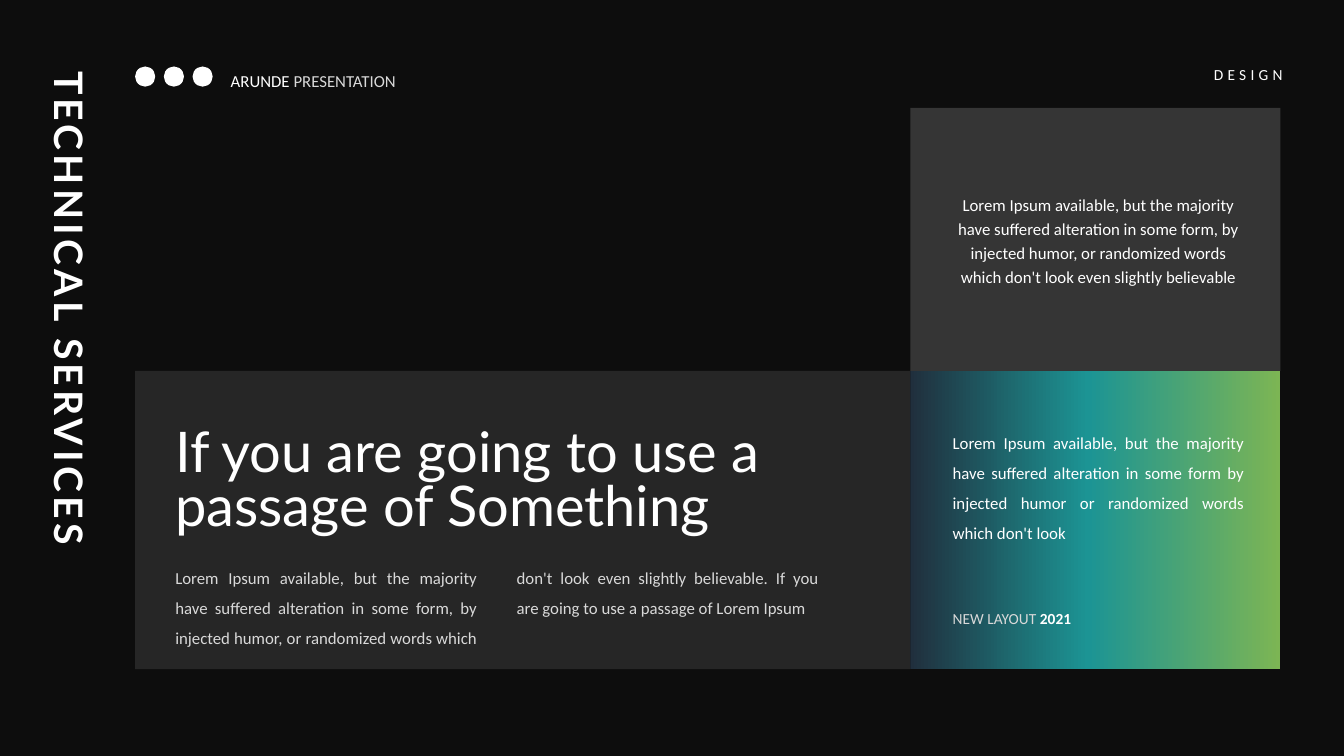
import copy

import pptx
import pptx.dml.color
import pptx.enum.dml
import pptx.enum.shapes
import pptx.enum.text
import pptx.oxml.ns
import pptx.util
from lxml import etree

Inches, Pt = pptx.util.Inches, pptx.util.Pt
RGBColor = pptx.dml.color.RGBColor
Shape = pptx.enum.shapes.MSO_SHAPE
Align = pptx.enum.text.PP_ALIGN

BACKGROUND = RGBColor(0x0D, 0x0D, 0x0D)
PANEL = RGBColor(0x26, 0x26, 0x26)
WHITE = RGBColor(0xFF, 0xFF, 0xFF)
SILVER = RGBColor(0xD9, 0xD9, 0xD9)
NAVY = RGBColor(0x20, 0x2F, 0x3D)
TEAL = RGBColor(0x1C, 0x94, 0x94)
GREEN = RGBColor(0x7C, 0xB5, 0x54)

# Content
TITLE = "TECHNICAL SERVICES"
GRADIENT = [(0, NAVY), (0.48, TEAL), (1, GREEN)]
PLAIN_INSETS = (0.1, 0.05, 0.1, 0.05)
BODY_INSETS = (0.1, 0.05, 0.16, 0.04)
# Each text: place, spans of (text, colour, bold), formatting
TEXTS = [
    ((9.35, 4.14, 3.15, 1.27),
     [("Lorem Ipsum available, but the majority have suffered alteration in some form by "
       "injected humor or randomized words which don't look", WHITE, False)],
     dict(align=Align.JUSTIFY, spacing=1.5)),
    ((1.64, 5.48, 6.64, 1),
     [("Lorem Ipsum available, but the majority have suffered alteration in some form, by "
       "injected humor, or randomized words which don't look even slightly believable. "
       "If you are going to use a passage of Lorem Ipsum", SILVER, False)],
     dict(align=Align.JUSTIFY, spacing=1.5, columns=2)),
    ((1.64, 4.21, 6.64, 1.18),
     [("If you are going to use a passage of Something", WHITE, False)],
     dict(size=40, font="Lato", spacing=0.8, insets=PLAIN_INSETS)),
    ((11.49, 0.6, 1.33, 0.29), [("DESIGN", WHITE, False)],
     dict(size=11, align=Align.RIGHT, tracking=3, insets=PLAIN_INSETS)),
    ((9.35, 5.99, 1.75, 0.28),
     [("NEW LAYOUT ", SILVER, False), ("2021", WHITE, True)], dict(size=11)),
    ((2.19, 0.55, 2.09, 0.39),
     [("ARUNDE", WHITE, False), (" PRESENTATION", SILVER, False)],
     dict(align=Align.JUSTIFY, spacing=1.5)),
    ((9.37, 1.84, 3.11, 1.06),
     [("Lorem Ipsum available, but the majority have suffered alteration in some form, by "
       "injected humor, or randomized words which don't look even slightly believable",
       WHITE, False)],
     dict(align=Align.CENTER, spacing=1.2)),
]

# Panel grid
LEFT, SPLIT, RIGHT = 1.34, 9.03, 12.7
TOP, MIDDLE, BOTTOM = 1.07, 3.68, 6.64
ICON_SIZE, ICON_STEP, ICON_TOP = 0.2, 0.285, 0.66


def add_filled(page, kind, left, top, width, height, color):
    shape = page.shapes.add_shape(kind, *map(Inches, (left, top, width, height)))
    shape.shadow.inherit = False
    shape.line.fill.background()
    shape.fill.solid()
    shape.fill.fore_color.rgb = color
    return shape


def set_gradient(shape, stops):
    shape.fill.gradient()
    shape.fill.gradient_angle = 0
    stop_list = shape.fill._fill._gradFill.gsLst
    stop_list.insert(1, copy.deepcopy(stop_list[0]))
    for stop, (position, color) in zip(shape.fill.gradient_stops, stops):
        stop.position = position
        stop.color.rgb = color


def set_opacity(shape, percent):
    color = shape.fill._xPr.find(".//" + pptx.oxml.ns.qn("a:srgbClr"))
    etree.SubElement(color, pptx.oxml.ns.qn("a:alpha"), val=str(percent * 1000))


def fill_text(box, spans, size=12, font="Calibri", align=Align.LEFT, spacing=1.0,
              tracking=0, columns=1, insets=BODY_INSETS):
    frame = box.text_frame
    frame.word_wrap = True
    frame.auto_size = pptx.enum.text.MSO_AUTO_SIZE.SHAPE_TO_FIT_TEXT
    frame.vertical_anchor = pptx.enum.text.MSO_ANCHOR.TOP
    (frame.margin_left, frame.margin_top,
     frame.margin_right, frame.margin_bottom) = map(Inches, insets)
    if columns > 1:
        frame._bodyPr.set("numCol", str(columns))
        frame._bodyPr.set("spcCol", str(Inches(0.39)))
    para = frame.paragraphs[0]
    para.alignment = align
    para.line_spacing = spacing
    para.space_before = Pt(0)
    for text, color, bold in spans:
        span = para.add_run()
        span.text = text
        span.font.name = font
        span.font.size = Pt(size)
        span.font.bold = bold
        span.font.color.rgb = color
        if tracking:
            span.font._element.set("spc", str(tracking * 100))


deck = pptx.Presentation()
deck.slide_width, deck.slide_height = Inches(13.33), Inches(7.5)
page = deck.slides.add_slide(deck.slide_layouts[5])
page.background.fill.solid()
page.background.fill.fore_color.rgb = BACKGROUND

# Panels
add_filled(page, Shape.RECTANGLE, LEFT, MIDDLE, SPLIT - LEFT, BOTTOM - MIDDLE, PANEL)
accent = add_filled(page, Shape.RECTANGLE, SPLIT, MIDDLE, RIGHT - SPLIT, BOTTOM - MIDDLE, TEAL)
set_gradient(accent, GRADIENT)
quote = add_filled(page, Shape.RECTANGLE, SPLIT, TOP, RIGHT - SPLIT, MIDDLE - TOP, SILVER)
set_opacity(quote, 20)

# Header dots
for index in range(3):
    add_filled(page, Shape.OVAL, LEFT + index * ICON_STEP, ICON_TOP, ICON_SIZE, ICON_SIZE, WHITE)

# Vertical title
title = page.shapes.title
title.left, title.top, title.width, title.height = map(Inches, (-2.3, 3.31, 5.89, 0.48))
title.rotation = 90
fill_text(title, [(TITLE, WHITE, True)], size=28, font="Lato", spacing=0.8,
          tracking=3, insets=PLAIN_INSETS)

# Texts
for place, spans, formatting in TEXTS:
    fill_text(page.shapes.add_textbox(*map(Inches, place)), spans, **formatting)

deck.save("out.pptx")
